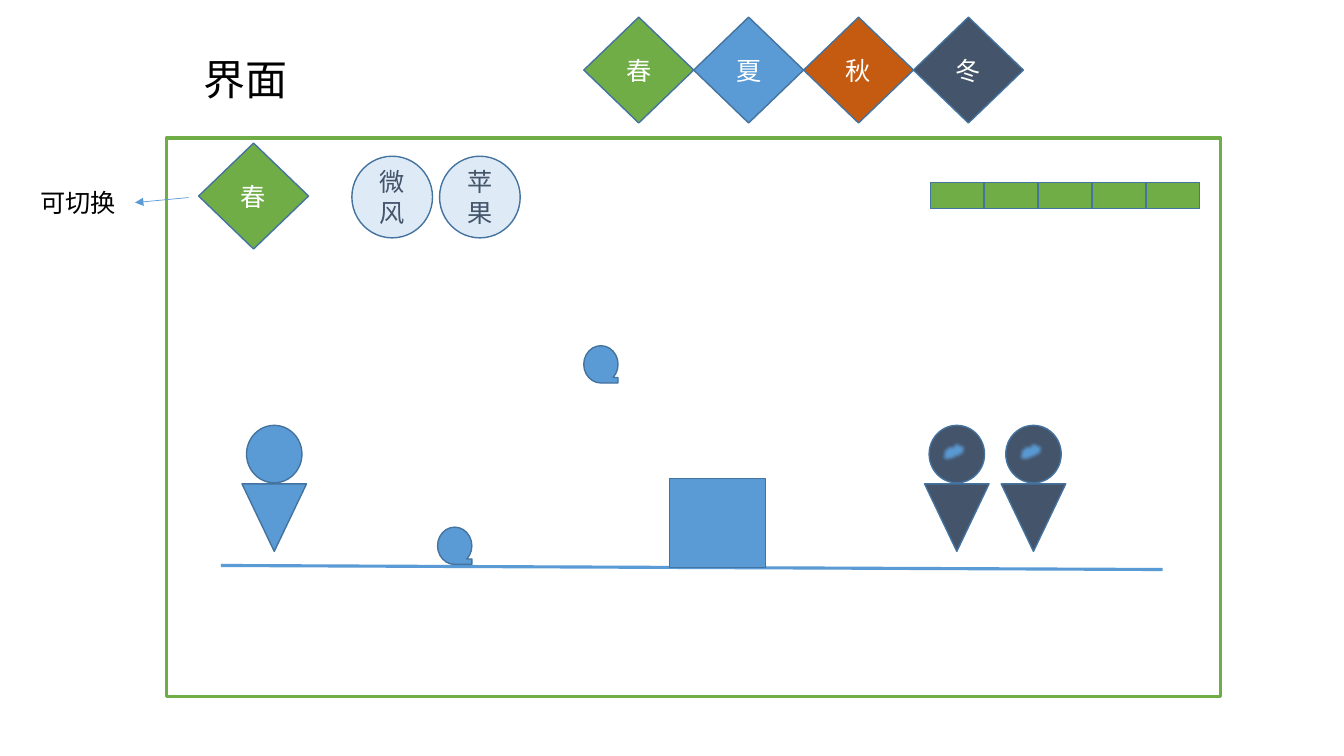
from lxml import etree
from pptx import Presentation
from pptx.dml.color import RGBColor
from pptx.enum.shapes import MSO_CONNECTOR, MSO_SHAPE
from pptx.enum.text import MSO_ANCHOR, MSO_AUTO_SIZE, PP_ALIGN
from pptx.oxml.ns import qn
from pptx.util import Inches, Pt

RECTANGLE = MSO_SHAPE.RECTANGLE
ELLIPSE = MSO_SHAPE.OVAL
DIAMOND = MSO_SHAPE.DIAMOND
TRIANGLE = MSO_SHAPE.ISOSCELES_TRIANGLE
BURST = MSO_SHAPE.EXPLOSION2
TAPE = MSO_SHAPE.FLOWCHART_SEQUENTIAL_ACCESS_STORAGE
STRAIGHT = MSO_CONNECTOR.STRAIGHT
MIDDLE = MSO_ANCHOR.MIDDLE
FIT_SHAPE = MSO_AUTO_SIZE.SHAPE_TO_FIT_TEXT
NO_FIT = MSO_AUTO_SIZE.NONE
CENTER = PP_ALIGN.CENTER
LEFT = PP_ALIGN.LEFT

GREEN = RGBColor(0x70, 0xAD, 0x47)
BLUE = RGBColor(0x5B, 0x9B, 0xD5)
ORANGE = RGBColor(0xC5, 0x5A, 0x11)
SLATE = RGBColor(0x44, 0x54, 0x6A)
PALE_BLUE = RGBColor(0xDE, 0xEB, 0xF7)
OUTLINE = RGBColor(0x43, 0x73, 0x9E)
WHITE = RGBColor(0xFF, 0xFF, 0xFF)
BLACK = RGBColor(0x00, 0x00, 0x00)


def write(shape, text, color, size=18, align=CENTER):
    frame = shape.text_frame
    frame.text = text
    frame.word_wrap = True
    para = frame.paragraphs[0]
    para.alignment = align
    font = para.runs[0].font
    font.name = "Arial"
    font.size = Pt(size)
    font.color.rgb = color


def add_outlined(shapes, kind, left, top, width, height, fill,
                 line=OUTLINE, line_width=1):
    shape = shapes.add_shape(kind, Inches(left), Inches(top),
                             Inches(width), Inches(height))
    shape.shadow.inherit = False
    if fill is None:
        shape.fill.background()
    else:
        shape.fill.solid()
        shape.fill.fore_color.rgb = fill
    shape.line.color.rgb = line
    shape.line.width = Pt(line_width)
    return shape


def add_badge(shapes, kind, left, top, width, height, fill, text, color):
    badge = add_outlined(shapes, kind, left, top, width, height, fill)
    write(badge, text, color)
    badge.text_frame.vertical_anchor = MIDDLE


def add_season(shapes, left, top, text, fill):
    add_badge(shapes, DIAMOND, left, top, 1.09, 1.05, fill, text, WHITE)


def add_person(shapes, left, fill):
    """Group a round head with a body that points down."""
    person = shapes.add_group_shape()
    add_outlined(person.shapes, ELLIPSE, left + 0.045, 4.22, 0.55, 0.57, fill)
    body = add_outlined(person.shapes, TRIANGLE, left, 4.8, 0.64, 0.67, fill)
    body.rotation = 180


def add_burst(shapes, left):
    """Add a burst with soft edges."""
    burst = add_outlined(shapes, BURST, left, 4.33, 0.37, 0.29, BLUE)
    effects = burst._element.spPr.find(qn("a:effectLst"))
    etree.SubElement(effects, qn("a:softEdge"), rad=str(Pt(2.5)))


def add_line(shapes, start, end, width, arrow=False):
    connector = shapes.add_connector(STRAIGHT, Inches(start[0]), Inches(start[1]),
                                     Inches(end[0]), Inches(end[1]))
    connector.line.color.rgb = BLUE
    connector.line.width = Pt(width)
    if arrow:
        etree.SubElement(connector.line._get_or_add_ln(), qn("a:tailEnd"),
                         type="triangle")
    etree.SubElement(connector._element.spPr, qn("a:effectLst"))


def add_title(slide):
    title = slide.shapes.title
    title.left, title.top = Inches(1.38), Inches(0.48)
    title.width, title.height = Inches(2.11), Inches(0.61)
    write(title, "界面", BLACK, 30)
    title.text_frame.auto_size = NO_FIT
    title.text_frame.vertical_anchor = MIDDLE


def add_label(shapes):
    label = shapes.add_textbox(Inches(0.3), Inches(1.81), Inches(1.04), Inches(0.4))
    write(label, "可切换", BLACK, align=LEFT)
    label.text_frame.auto_size = FIT_SHAPE


def main():
    deck = Presentation()
    deck.slide_width, deck.slide_height = Inches(13.33), Inches(7.5)
    slide = deck.slides.add_slide(deck.slide_layouts[5])
    shapes = slide.shapes

    add_title(slide)
    add_outlined(shapes, RECTANGLE, 1.65, 1.37, 10.46, 5.54, None, GREEN, 2.25)
    for index in range(5):
        add_outlined(shapes, RECTANGLE, 9.23 + 0.535 * index, 1.81, 0.53, 0.26, GREEN)

    for index, item in enumerate(("微风", "苹果")):
        add_badge(shapes, ELLIPSE, 3.49 + 0.87 * index, 1.55, 0.8, 0.81,
                  PALE_BLUE, item, SLATE)

    add_season(shapes, 1.97, 1.42, "春", GREEN)
    seasons = (("春", GREEN), ("夏", BLUE), ("秋", ORANGE), ("冬", SLATE))
    for index, (season, fill) in enumerate(seasons):
        add_season(shapes, 5.79 + 1.09 * index, 0.17, season, fill)

    add_label(shapes)
    add_line(shapes, (2.19, 5.61), (11.53, 5.65), 2.25)
    for left, fill in ((2.4, BLUE), (9.17, SLATE), (9.93, SLATE)):
        add_person(shapes, left, fill)
    for left in (9.29, 10.05):
        add_burst(shapes, left)
    for left, top in ((4.34, 5.23), (5.79, 3.43)):
        add_outlined(shapes, TAPE, left, top, 0.34, 0.37, BLUE)
    add_outlined(shapes, RECTANGLE, 6.64, 4.75, 0.95, 0.88, BLUE)
    add_line(shapes, (1.87, 1.96), (1.34, 2.01), 0.5, arrow=True)

    deck.save("out.pptx")


if __name__ == "__main__":
    main()
